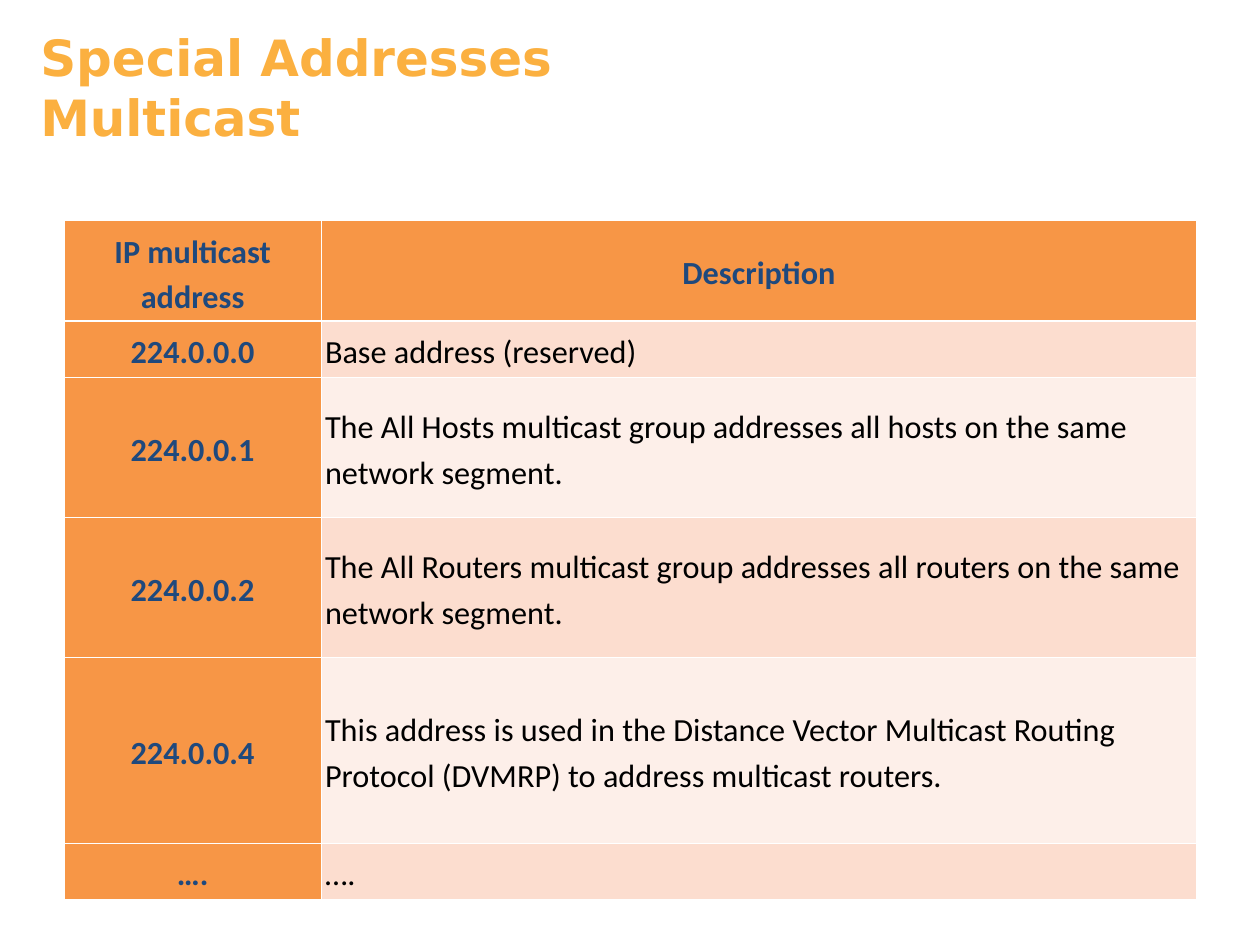
from lxml import etree
from pptx import Presentation
from pptx.dml.color import RGBColor
from pptx.enum.text import MSO_ANCHOR, PP_ALIGN
from pptx.oxml.ns import qn
from pptx.util import Pt

MIDDLE = MSO_ANCHOR.MIDDLE
TOP = MSO_ANCHOR.TOP
LEFT = PP_ALIGN.LEFT
CENTER = PP_ALIGN.CENTER

AMBER = RGBColor(0xFB, 0xB0, 0x40)
ORANGE = RGBColor(0xF7, 0x96, 0x46)
PEACH = RGBColor(0xFC, 0xDD, 0xCF)
BLUSH = RGBColor(0xFD, 0xEF, 0xE9)
NAVY = RGBColor(0x1F, 0x49, 0x7D)
BLACK = RGBColor(0, 0, 0)
WHITE = RGBColor(0xFF, 0xFF, 0xFF)

THIN, THICK = 0.45, 1.47
WIDTHS = (159.9, 543.6)
ROWS = [
    (59.8, "IP multicast address", "Description"),
    (32.4, "224.0.0.0", "Base address (reserved)"),
    (87.1, "224.0.0.1", "The All Hosts multicast group addresses "
     "all hosts on the same network segment."),
    (87.1, "224.0.0.2", "The All Routers multicast group addresses "
     "all routers on the same network segment."),
    (115.2, "224.0.0.4", "This address is used in the Distance Vector "
     "Multicast Routing Protocol (DVMRP) to address multicast routers."),
    (32.4, "….", "…."),
]


def add_run(para, text, font, size, color, bold):
    run = para.add_run()
    run.text = text
    run.font.name = font
    run.font.size = Pt(size)
    run.font.bold = bold
    run.font.color.rgb = color


def add_title(slide, lines):
    box = slide.shapes.add_textbox(Pt(18), Pt(13), Pt(607), Pt(59))
    frame = box.text_frame
    frame.word_wrap = True
    frame.vertical_anchor = TOP
    for i, line in enumerate(lines):
        para = frame.add_paragraph() if i else frame.paragraphs[0]
        add_run(para, line, "DejaVu Sans", 31, AMBER, True)


def set_edges(cell, widths):
    # Borders go before the fill in the cell properties
    props = cell._tc.get_or_add_tcPr()
    for i, (side, width) in enumerate(widths.items()):
        edge = etree.Element(qn(f"a:ln{side}"), w=str(Pt(width)))
        fill = etree.SubElement(edge, qn("a:solidFill"))
        etree.SubElement(fill, qn("a:srgbClr"), val=str(WHITE))
        props.insert(i, edge)


def fill_cell(cell, text, row, col):
    strong = row == 0 or col == 0
    cell.fill.solid()
    cell.fill.fore_color.rgb = ORANGE if strong else (BLUSH, PEACH)[row % 2]
    set_edges(cell, {"L": THIN, "R": THIN,
                     "T": THICK if row == 1 else THIN,
                     "B": THICK if row == 0 else THIN})
    cell.vertical_anchor = MIDDLE
    cell.margin_left = cell.margin_right = Pt(2.3)
    cell.margin_top = cell.margin_bottom = Pt(3.6)
    para = cell.text_frame.paragraphs[0]
    para.alignment = CENTER if strong else LEFT
    para.line_spacing = 1.15
    add_run(para, text, "Calibri", 20, NAVY if strong else BLACK, strong)


def add_grid(slide):
    high = sum(row[0] for row in ROWS)
    frame = slide.shapes.add_table(len(ROWS), len(WIDTHS), Pt(39.7), Pt(137),
                                   Pt(sum(WIDTHS)), Pt(high))
    table = frame.table
    for col, width in zip(table.columns, WIDTHS):
        col.width = Pt(width)
    for r, (height, *texts) in enumerate(ROWS):
        table.rows[r].height = Pt(height)
        for c, text in enumerate(texts):
            fill_cell(table.cell(r, c), text, r, c)


def main():
    deck = Presentation()
    deck.slide_width, deck.slide_height = Pt(782.6), Pt(586.8)
    slide = deck.slides.add_slide(deck.slide_layouts[6])
    # Heading
    add_title(slide, ("Special Addresses", "Multicast"))
    # Address table
    add_grid(slide)
    deck.save("out.pptx")


if __name__ == "__main__":
    main()
